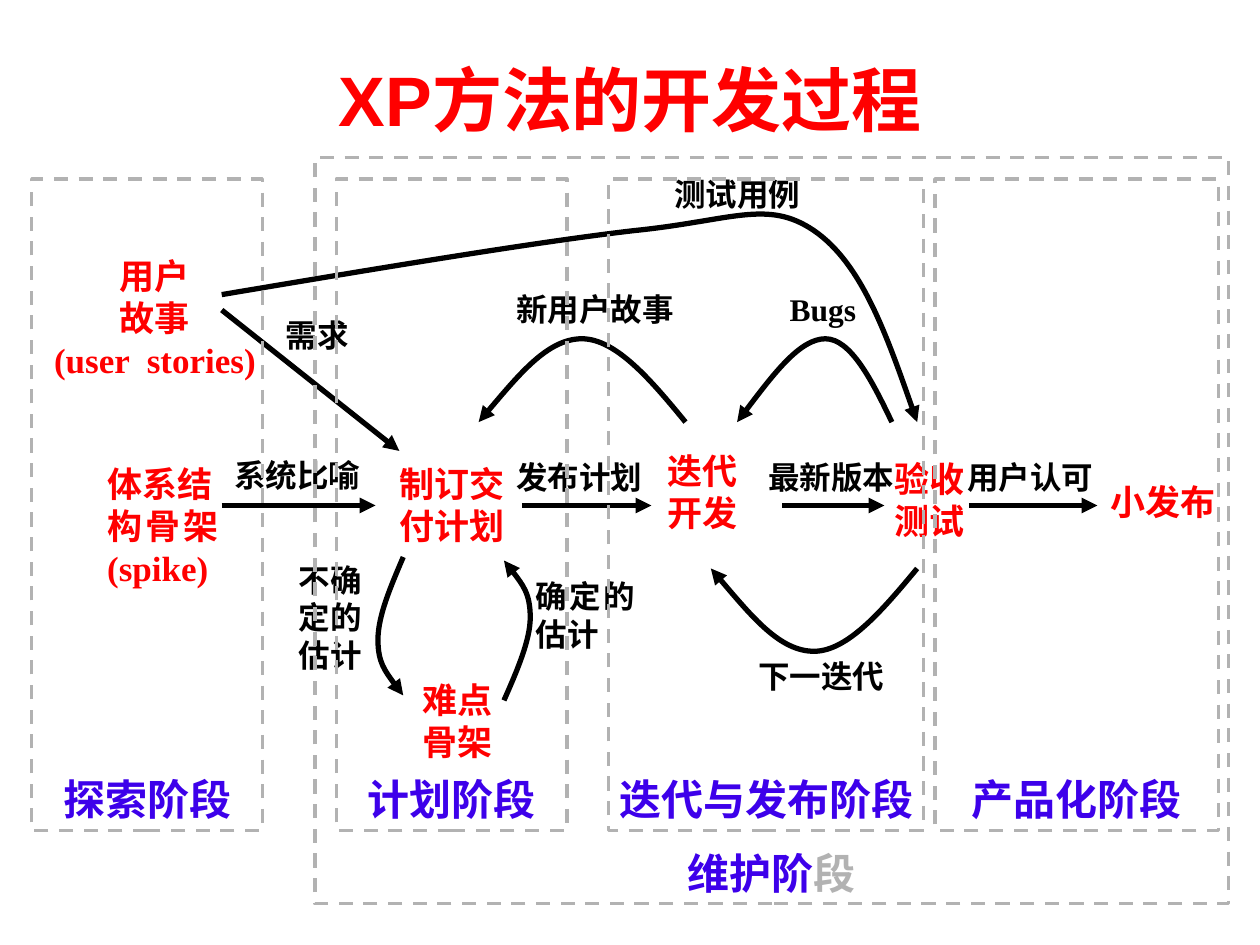
from dataclasses import dataclass

from lxml import etree
from pptx import Presentation
from pptx.dml.color import RGBColor
from pptx.enum import dml, shapes, text
from pptx.oxml import ns
from pptx.util import Cm, Pt


@dataclass(frozen=True)
class Theme:
    red: RGBColor = RGBColor(0xFF, 0, 0)
    black: RGBColor = RGBColor(0, 0, 0)
    blue: RGBColor = RGBColor(0x3D, 0, 0xEA)
    grey: RGBColor = RGBColor(0xB2, 0xB2, 0xB2)
    heading_font: str = "Arial"
    body_font: str = "Times New Roman"
    title_size: int = 40
    stage_size: int = 24
    step_size: int = 20
    caption_size: int = 18
    flow_width: int = 3
    frame_width: int = 2


THEME = Theme()
LEFT, CENTER, JUSTIFY = text.PP_ALIGN.LEFT, text.PP_ALIGN.CENTER, text.PP_ALIGN.JUSTIFY
PADDED, SIDES_FLUSH, FLUSH = (0.25, 0.13), (0, 0.13), (0, 0)
FLOW_Y = 10.19
STAGE_TOP, STAGE_HEIGHT = 3.61, 13.13

# wording, left, top, width, height, padding, alignment
STEPS = [
    ("用户\n故事\n(user  stories)", 0.84, 5.13, 4.57, 2.92, FLUSH, CENTER),
    ("体系结\n构骨架(spike)", 1.91, 9.19, 2.74, 2.87, PADDED, JUSTIFY),
    ("制订交\n付计划", 8.05, 9.19, 2.59, 2.03, SIDES_FLUSH, JUSTIFY),
    ("迭代\n开发", 13.13, 9.07, 2.08, 2.24, FLUSH, CENTER),
    ("验收\n测试", 18.03, 9.09, 2.08, 2.24, SIDES_FLUSH, JUSTIFY),
    ("小发布", 22.38, 9.68, 2.16, 1.12, FLUSH, JUSTIFY),
    ("难点\n骨架", 8.26, 13.54, 2.59, 2.79, PADDED, LEFT),
]
CAPTIONS = [
    ("系统比喻", 4.47, 9.07, 3.12, 1.68, PADDED, JUSTIFY),
    ("发布计划", 10.16, 9.1, 3.12, 1.68, PADDED, JUSTIFY),
    ("最新版本", 15.24, 9.1, 3.12, 1.68, PADDED, JUSTIFY),
    ("用户认可", 19.25, 9.1, 3.12, 1.68, PADDED, JUSTIFY),
    ("下一迭代", 15.04, 13.11, 3.12, 1.68, PADDED, JUSTIFY),
    ("Bugs", 15.67, 5.72, 3.18, 1.68, PADDED, JUSTIFY),
    ("新用户故事", 10.16, 5.72, 4.01, 1.68, PADDED, JUSTIFY),
    ("测试用例", 13.34, 3.39, 3.12, 1.68, PADDED, JUSTIFY),
    ("需求", 5.51, 6.25, 3.12, 1.68, PADDED, JUSTIFY),
    ("不确定的估计", 6.02, 11.3, 1.55, 2.24, FLUSH, LEFT),
    ("确定的估计", 10.8, 11.63, 2.01, 2.24, FLUSH, JUSTIFY),
]
STRAIGHT_FLOWS = [
    (4.47, FLOW_Y, 7.57, FLOW_Y),
    (10.52, FLOW_Y, 13.13, FLOW_Y),
    (15.77, FLOW_Y, 17.83, FLOW_Y),
    (19.53, FLOW_Y, 22.12, FLOW_Y),
    (4.47, 6.25, 8.05, 9.09),
]
# start point, then three Bézier points for each segment
CURVED_FLOWS = [
    [(8.13, 11.23), (7.87, 11.84), (7.62, 12.42), (7.62, 12.9),
     (7.62, 13.36), (7.87, 13.69), (8.13, 14.02)],
    [(10.16, 14.12), (10.43, 13.51), (10.69, 12.9), (10.69, 12.45),
     (10.69, 11.96), (10.43, 11.63), (10.16, 11.3)],
    [(18.49, 11.46), (17.8, 12.29), (17.09, 13.13), (16.41, 13.13),
     (15.72, 13.13), (15.04, 12.29), (14.33, 11.46)],
    [(13.82, 8.51), (13.13, 7.67), (12.42, 6.83), (11.73, 6.83),
     (11.05, 6.83), (10.36, 7.67), (9.65, 8.51)],
    [(17.98, 8.51), (17.58, 7.67), (17.15, 6.83), (16.64, 6.83),
     (16.13, 6.83), (15.49, 7.67), (14.86, 8.51)],
    [(4.47, 5.94), (7.62, 5.41), (10.8, 4.88), (12.78, 4.65),
     (14.76, 4.45), (15.47, 4.01), (16.41, 4.65),
     (17.37, 5.31), (17.93, 6.91), (18.49, 8.51)],
]
STAGES = [("探索阶段", 0.64, 4.65), ("计划阶段", 6.78, 4.65),
          ("迭代与发布阶段", 12.27, 6.35), ("产品化阶段", 18.85, 5.72)]


def style(paragraph, size, color, align, font=THEME.body_font):
    paragraph.alignment = align
    paragraph.font.name = font
    paragraph.font.size = Pt(size)
    paragraph.font.bold = True
    paragraph.font.color.rgb = color


def set_title(slide, wording):
    title = slide.shapes.title
    title.left, title.top, title.width, title.height = Cm(1.91), Cm(0.85), Cm(21.59), Cm(2.12)
    title.text_frame.text = wording
    title.text_frame.auto_size = text.MSO_AUTO_SIZE.NONE
    title.text_frame.vertical_anchor = text.MSO_ANCHOR.BOTTOM
    style(title.text_frame.paragraphs[0], THEME.title_size, THEME.red, CENTER, THEME.heading_font)


def add_label(slide, label, size, color):
    wording, left, top, width, height, (side, edge), align = label
    frame = slide.shapes.add_textbox(Cm(left), Cm(top), Cm(width), Cm(height)).text_frame
    frame.word_wrap = True
    frame.margin_left = frame.margin_right = Cm(side)
    frame.margin_top = frame.margin_bottom = Cm(edge)
    frame.text = wording
    for paragraph in frame.paragraphs:
        style(paragraph, size, color, align)


def finish_flow(flow):
    """Give a line its colour and arrowhead, and take its shadow off."""
    flow.line.color.rgb = THEME.black
    flow.line.width = Pt(THEME.flow_width)
    etree.SubElement(flow.line._get_or_add_ln(), ns.qn("a:tailEnd"), type="triangle")
    etree.SubElement(flow._element.spPr, ns.qn("a:effectLst"))


def add_straight_flow(slide, ends):
    finish_flow(slide.shapes.add_connector(shapes.MSO_CONNECTOR.STRAIGHT, *map(Cm, ends)))


def add_curved_flow(slide, points):
    start, *others = [(Cm(x), Cm(y)) for x, y in points]
    builder = slide.shapes.build_freeform(*start)
    builder.add_line_segments(others, close=False)
    curve = builder.convert_to_shape()
    curve.fill.background()
    corners = list(curve._element.iter(ns.qn("a:lnTo")))
    outline = corners[0].getparent()
    for first in range(0, len(corners), 3):
        bezier = etree.SubElement(outline, ns.qn("a:cubicBezTo"))
        for corner in corners[first:first + 3]:
            bezier.append(corner[0])
            outline.remove(corner)
    finish_flow(curve)


def add_stage(slide, left, top, width, height, *parts):
    """Draw a dashed frame with its name, given as (wording, colour) parts, at the bottom."""
    stage = slide.shapes.add_shape(
        shapes.MSO_SHAPE.RECTANGLE, Cm(left), Cm(top), Cm(width), Cm(height))
    stage.shadow.inherit = False
    stage.fill.background()
    stage.line.color.rgb = THEME.grey
    stage.line.width = Pt(THEME.frame_width)
    stage.line.dash_style = dml.MSO_LINE.DASH
    frame = stage.text_frame
    frame.word_wrap = False
    frame.vertical_anchor = text.MSO_ANCHOR.BOTTOM
    name = frame.paragraphs[0]
    style(name, THEME.stage_size, THEME.blue, CENTER)
    for wording, color in parts:
        run = name.add_run()
        run.text = wording
        run.font.color.rgb = color


def main():
    deck = Presentation()
    deck.slide_width, deck.slide_height = Cm(25.4), Cm(19.05)
    slide = deck.slides.add_slide(deck.slide_layouts.get_by_name("Title Only"))
    set_title(slide, "XP方法的开发过程")
    for step in STEPS:
        add_label(slide, step, THEME.step_size, THEME.red)
    for caption in CAPTIONS:
        add_label(slide, caption, THEME.caption_size, THEME.black)
    for ends in STRAIGHT_FLOWS:
        add_straight_flow(slide, ends)
    for points in CURVED_FLOWS:
        add_curved_flow(slide, points)
    for name, left, width in STAGES:
        add_stage(slide, left, STAGE_TOP, width, STAGE_HEIGHT, (name, THEME.blue))
    add_stage(slide, 6.35, 3.18, 18.42, 15.04, ("维护阶", THEME.blue), ("段", THEME.grey))
    deck.save("out.pptx")


if __name__ == "__main__":
    main()
